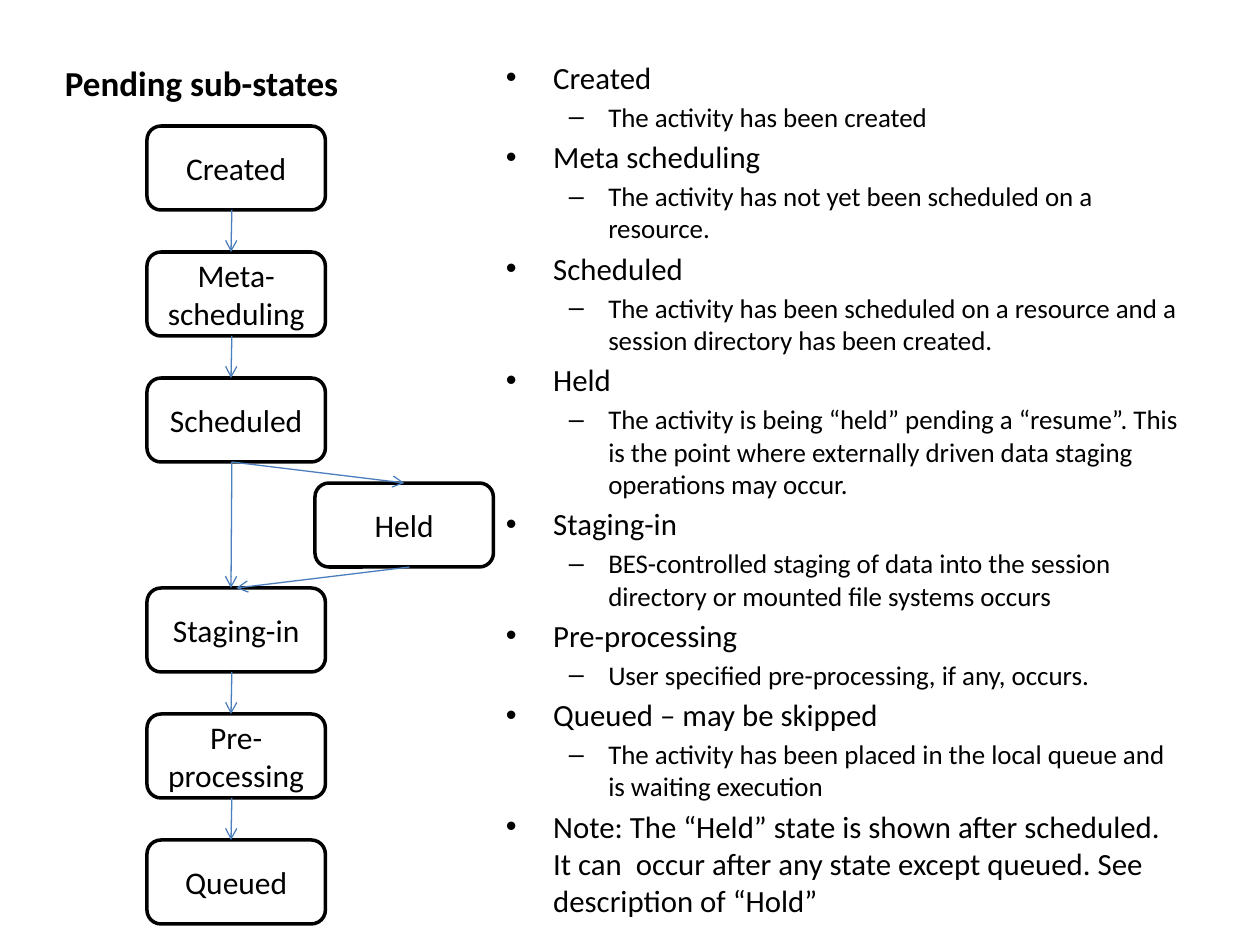
import pptx
import pptx.util
import pptx.dml.color
import pptx.enum.shapes
import pptx.enum.text
import pptx.oxml.ns
from lxml import etree

Pt = pptx.util.Pt
ANCHOR = pptx.enum.text.MSO_ANCHOR
FONT = "Calibri"
COLORS = {"ink": "000000", "arrow": "4B7EBC"}
TOP, BOTTOM = 0, 2  # connection sites
STATE_W, STATE_H = 102, 48

STATES = [  # label, left, top within the flow
    ("Created", 0, 0),
    ("Meta-scheduling", 0, 72),
    ("Scheduled", 0, 144),
    ("Held", 96, 204),
    ("Staging-in", 0, 264),
    ("Pre-processing", 0, 336),
    ("Queued", 0, 408),
]
MAIN_PATH = [label for label, left, _ in STATES if left == 0]

DESCRIPTIONS = [
    ("Created", "The activity has been created"),
    ("Meta scheduling", "The activity has not yet been scheduled on a resource."),
    ("Scheduled", "The activity has been scheduled on a resource and a session "
                  "directory has been created."),
    ("Held", "The activity is being “held” pending a “resume”. This is the point "
             "where externally driven data staging operations may occur."),
    ("Staging-in", "BES-controlled staging of data into the session directory or "
                   "mounted file systems occurs"),
    ("Pre-processing", "User specified pre-processing, if any, occurs."),
    ("Queued – may be skipped", "The activity has been placed in the local queue "
                                "and is waiting execution"),
    ("Note: The “Held” state is shown after scheduled. It can  occur after any "
     "state except queued. See description of “Hold”", None),
]

# level: bullet, left margin, hanging indent, size, space before
LEVELS = [("•", 27, 27, 17.6, 3), ("–", 58.5, 22.5, 15.4, 2.7)]


def rgb(name):
    return pptx.dml.color.RGBColor.from_string(COLORS[name])


def style(paragraph, size, bold=False):
    font = paragraph.font
    font.name, font.size, font.bold = FONT, Pt(size), bold
    font.color.rgb = rgb("ink")


def add_text_frame(slide, left, top, width, height, anchor):
    frame = slide.shapes.add_textbox(Pt(left), Pt(top), Pt(width), Pt(height)).text_frame
    frame.word_wrap = True
    frame.vertical_anchor = anchor
    return frame


def add_title(slide, left, top, width, height):
    frame = add_text_frame(slide, left, top, width, height, ANCHOR.BOTTOM)
    frame.text = "Pending sub-states"
    style(frame.paragraphs[0], 20, bold=True)


def add_state(slide, label, left, top):
    state = slide.shapes.add_shape(pptx.enum.shapes.MSO_SHAPE.ROUNDED_RECTANGLE,
                                   Pt(left), Pt(top), Pt(STATE_W), Pt(STATE_H))
    state.shadow.inherit = False
    state.fill.background()
    state.line.color.rgb = rgb("ink")
    state.line.width = Pt(2)
    frame = state.text_frame
    frame.word_wrap = True
    frame.vertical_anchor = ANCHOR.MIDDLE
    frame.text = label
    frame.paragraphs[0].alignment = pptx.enum.text.PP_ALIGN.CENTER
    style(frame.paragraphs[0], 18)
    return state


def add_arrow(slide, x1, y1, x2, y2):
    arrow = slide.shapes.add_connector(pptx.enum.shapes.MSO_CONNECTOR.STRAIGHT,
                                       Pt(x1), Pt(y1), Pt(x2), Pt(y2))
    arrow.line.color.rgb = rgb("arrow")
    arrow.line.width = Pt(0.75)
    qn = pptx.oxml.ns.qn
    etree.SubElement(arrow.line._get_or_add_ln(), qn("a:tailEnd"), type="arrow")
    etree.SubElement(arrow._element.spPr, qn("a:effectLst"))
    return arrow


def add_flow(slide, left, top):
    spots = {label: (left + dx, top + dy) for label, dx, dy in STATES}
    states = {label: add_state(slide, label, *spot) for label, spot in spots.items()}

    # Main path, running slightly left of the box centres
    start_x, end_x = left + 48.5, left + 48
    for source, target in zip(MAIN_PATH, MAIN_PATH[1:]):
        add_arrow(slide, start_x, spots[source][1] + STATE_H, end_x, spots[target][1])

    # Detour through Held
    held_x, held_y = spots["Held"]
    staging_x, staging_y = spots["Staging-in"]
    into_held = add_arrow(slide, start_x, spots["Scheduled"][1] + STATE_H,
                          held_x + STATE_W / 2, held_y)
    into_held.end_connect(states["Held"], TOP)
    out_of_held = add_arrow(slide, held_x + 54, held_y + STATE_H,
                            staging_x + STATE_W / 2, staging_y)
    out_of_held.end_connect(states["Staging-in"], TOP)


def add_descriptions(slide, left, top, width, height):
    frame = add_text_frame(slide, left, top, width, height, ANCHOR.TOP)
    items = [(level, text) for pair in DESCRIPTIONS
             for level, text in enumerate(pair) if text]
    for index, (level, text) in enumerate(items):
        bullet, margin, hanging, size, space = LEVELS[level]
        paragraph = frame.add_paragraph() if index else frame.paragraphs[0]
        paragraph.text = text
        paragraph.level = level
        props = paragraph._p.get_or_add_pPr()
        props.set("marL", str(Pt(margin)))
        props.set("indent", str(-Pt(hanging)))
        qn = pptx.oxml.ns.qn
        etree.SubElement(props, qn("a:buFont"), typeface="Arial")
        etree.SubElement(props, qn("a:buChar"), char=bullet)
        if index:
            paragraph.space_before = Pt(space)
        style(paragraph, size)


def main():
    deck = pptx.Presentation()
    deck.slide_width, deck.slide_height = Pt(720), Pt(540)
    slide = deck.slides.add_slide(deck.slide_layouts[6])
    add_title(slide, 30, 12, 237, 50.5)
    add_descriptions(slide, 282, 30, 402.5, 461)
    add_flow(slide, 84, 72)
    deck.save("out.pptx")


if __name__ == "__main__":
    main()
